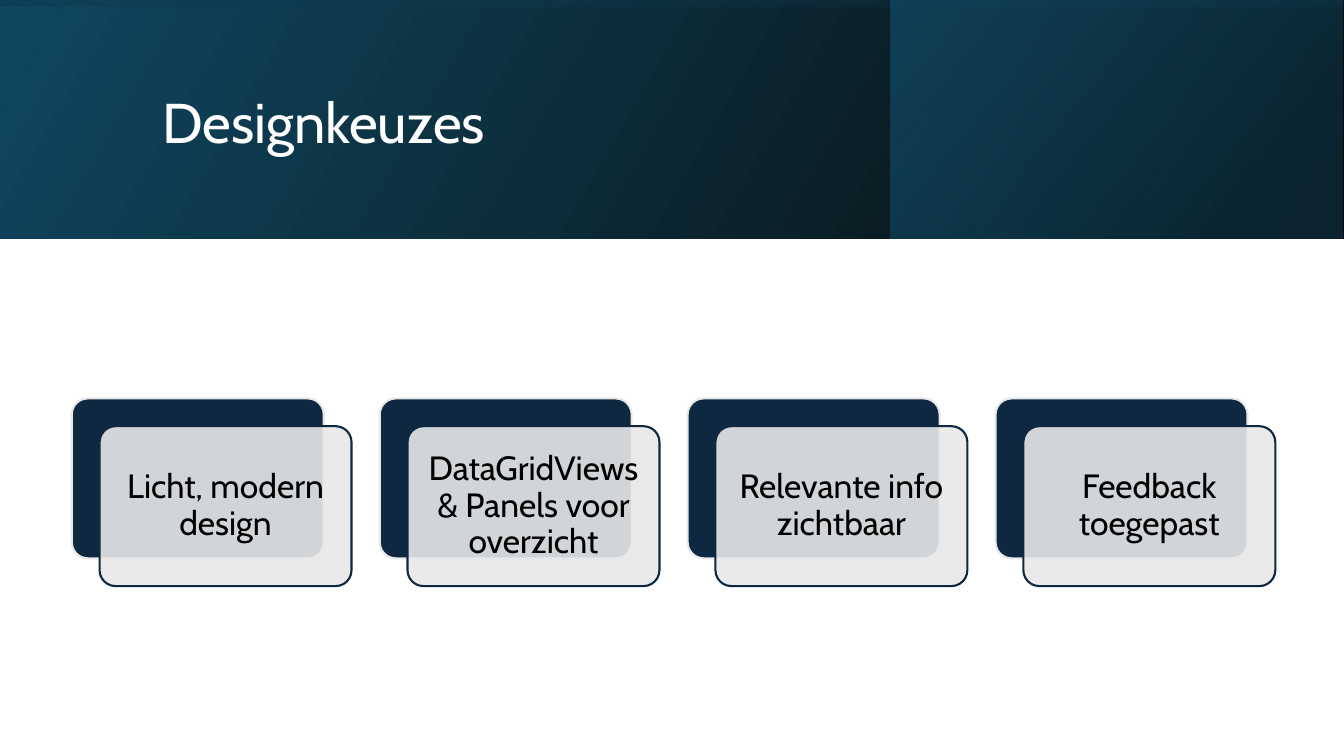
import pptx
import pptx.util
import pptx.dml.color
import pptx.enum.shapes
import pptx.enum.text
import pptx.oxml.ns
import lxml.etree

Cm, Pt = pptx.util.Cm, pptx.util.Pt
HUES = {"navy": "0E2841", "pale": "E8E8E8", "black": "000000",
        "white": "FFFFFF", "blue": "104862", "deep": "0B3041",
        "teal": "156082"}
WIDE, HIGH, BAND = 33.87, 19.05, 6.02


def hue(name):
    return pptx.dml.color.RGBColor.from_string(HUES[name])


def fade(tint, alpha):
    """Set the opacity, in percent, of one srgbClr element."""
    if alpha < 100:
        node = lxml.etree.SubElement(tint, pptx.oxml.ns.qn("a:alpha"))
        node.set("val", str(alpha * 1000))


def write(shape, text, size=24, color="black", align="CENTER", font="Cabin"):
    frame = shape.text_frame
    frame.text = text
    frame.word_wrap = True
    frame.auto_size = pptx.enum.text.MSO_AUTO_SIZE.NONE
    frame.vertical_anchor = pptx.enum.text.MSO_ANCHOR.MIDDLE
    para = frame.paragraphs[0]
    para.alignment = getattr(pptx.enum.text.PP_ALIGN, align)
    para.line_spacing = 0.9
    para.space_before = Pt(0)
    para.font.size = Pt(size)
    para.font.name = font
    para.font.color.rgb = hue(color)
    return frame


class Deck:
    def __init__(self):
        self.file = pptx.Presentation()
        self.file.slide_width, self.file.slide_height = Cm(WIDE), Cm(HIGH)
        self.slide = self.file.slides.add_slide(self.file.slide_layouts[5])

    def shape(self, kind, box):
        form = getattr(pptx.enum.shapes.MSO_SHAPE, kind)
        shape = self.slide.shapes.add_shape(form, *map(Cm, box))
        shape.shadow.inherit = False
        return shape

    def blend(self, box, stops, angle, turn=0):
        """Mirrored rectangle with a gradient of (place, hue, opacity)."""
        shape = self.shape("RECTANGLE", box)
        shape.line.fill.background()
        shape.rotation = turn
        props = shape._element.spPr
        props.find(pptx.oxml.ns.qn("a:xfrm")).set("flipH", "1")
        shape.fill.gradient()
        shape.fill.gradient_angle = 360 - angle
        for stop, (place, name, _) in zip(shape.fill.gradient_stops, stops):
            stop.position = place
            stop.color.rgb = hue(name)
        tints = props.iter(pptx.oxml.ns.qn("a:srgbClr"))
        for tint, (_, _, alpha) in zip(list(tints), stops):
            fade(tint, alpha)

    def title(self, text, box):
        shape = self.slide.shapes.title
        shape.left, shape.top, shape.width, shape.height = map(Cm, box)
        write(shape, text, size=40, color="white", align="LEFT")
        # Bring the title in front of the band
        self.slide.shapes._spTree.append(shape._element)

    def card(self, box, fill, line, alpha=100):
        shape = self.shape("ROUNDED_RECTANGLE", box)
        shape.adjustments[0] = 0.1
        shape.fill.solid()
        shape.fill.fore_color.rgb = hue(fill)
        tint = next(shape._element.spPr.iter(pptx.oxml.ns.qn("a:srgbClr")))
        fade(tint, alpha)
        shape.line.color.rgb = hue(line)
        shape.line.width = Pt(1.5)
        return shape

    def label(self, shape, text):
        frame = write(shape, text)
        for side in ("left", "top", "right", "bottom"):
            setattr(frame, "margin_" + side, Cm(0.25))


def main():
    deck = Deck()

    # Title band
    deck.blend((0, 0, WIDE, BAND),
               [(0, "black", 96), (1, "blue", 100)], 330)
    deck.blend((22.45, 0, 11.39, BAND),
               [(0.19, "deep", 68), (1, "teal", 48)], 320)
    mid = (WIDE - BAND) / 2
    deck.blend((mid, -mid, BAND, WIDE),
               [(0.23, "blue", 16), (0.99, "black", 45)], 350, turn=270)
    deck.title("Designkeuzes", (3.84, 0.97, 27, 4.37))

    # Row of cards, each over a dark backing
    left, top, wide, high, step, shift = 1.81, 10.04, 6.35, 4.03, 7.76, 0.7
    texts = ("Licht, modern design", "DataGridViews & Panels voor overzicht",
             "Relevante info zichtbaar", "Feedback toegepast")
    for i, text in enumerate(texts):
        x = left + i * step
        deck.card((x, top, wide, high), "navy", "pale")
        front = deck.card((x + shift, top + shift, wide, high),
                          "pale", "navy", alpha=90)
        deck.label(front, text)

    deck.file.save("out.pptx")


if __name__ == "__main__":
    main()
